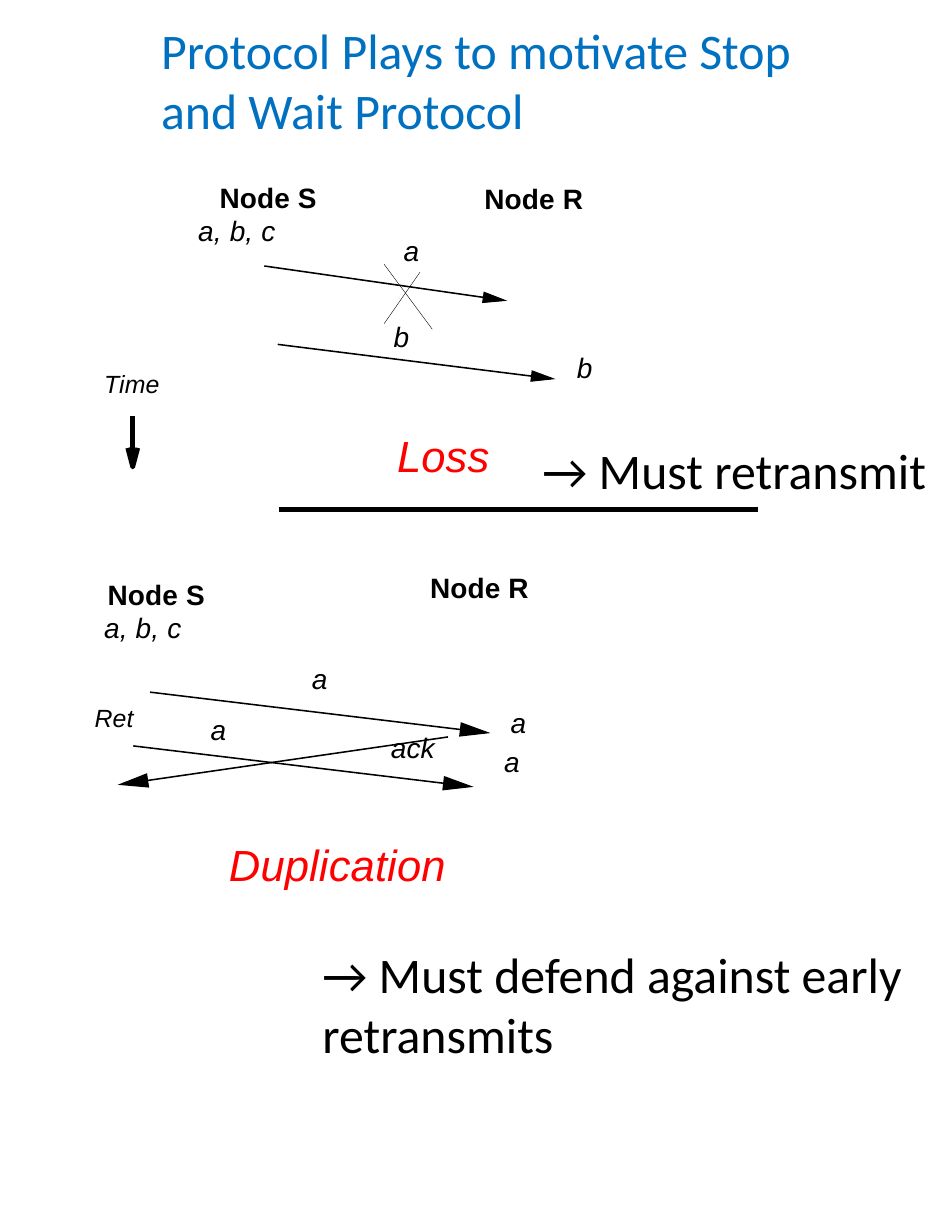
import math

from lxml import etree
from pptx import Presentation, util as u
from pptx.dml.color import RGBColor
from pptx.enum import shapes, text
from pptx.oxml.ns import qn

# Grid of tenths of an inch: 85 columns by 110 rows
COLUMNS, ROWS = 85, 110
CELL = u.Inches(0.1)

BLACK, RED, BLUE = "000000", "FF0000", "0070C0"
LABEL = {"name": "Arial", "size": u.Pt(18), "italic": True}
NODE = {"name": "Arial", "size": u.Pt(18), "bold": True}
SIDE = {**LABEL, "size": u.Pt(16)}
PROBLEM = {**LABEL, "size": u.Pt(28)}
HEADING = {"name": "Calibri", "size": u.Pt(32)}
NO_INSETS = dict.fromkeys(
    ("margin_left", "margin_top", "margin_right", "margin_bottom"), 0)


def cells(*counts):
    return [round(count * CELL) for count in counts]


def colour(hex_string):
    return RGBColor.from_string(hex_string)


def set_all(target, values):
    for name, value in values.items():
        setattr(target, name, value)


def add_text(parent, box, lines, ink=BLACK, frame_format=None, spacing=None):
    """Each line is (wording, font format, left margin, first indent)."""
    shape = parent.shapes.add_textbox(*cells(*box))
    frame = shape.text_frame
    set_all(frame, {"word_wrap": True,
                    "auto_size": text.MSO_AUTO_SIZE.SHAPE_TO_FIT_TEXT,
                    **(frame_format or {})})
    for index, (wording, font_format, margin, indent) in enumerate(lines):
        paragraph = frame.add_paragraph() if index else frame.paragraphs[0]
        if spacing:
            paragraph.line_spacing = spacing
        properties = paragraph._p.get_or_add_pPr()
        for name, length in (("marL", margin), ("indent", indent)):
            properties.set(name, str(cells(length)[0]))
        run = paragraph.add_run()
        run.text = wording
        set_all(run.font, font_format)
        run.font.color.rgb = colour(ink)
        if frame_format:
            run._r.get_or_add_rPr().set("spc", "10")


def add_label(parent, box, wording, font_format=LABEL, ink=BLACK,
              indent=0, spacing=None):
    add_text(parent, box, [(wording, font_format, 0.1, indent)], ink,
             NO_INSETS, spacing)


def add_sender(parent, box, margin, spacing=None):
    lines = [("Node S", NODE, margin, 0), ("a, b, c", LABEL, 0.1, 0)]
    add_text(parent, box, lines, BLACK, NO_INSETS, spacing)


def add_heading(parent, box, wording, ink=BLACK):
    add_text(parent, box, [(wording, HEADING, 0, 0)], ink)


def add_line(parent, ends, width=1):
    connector = parent.shapes.add_connector(
        shapes.MSO_CONNECTOR.STRAIGHT, *cells(*ends))
    connector.line.color.rgb = colour(BLACK)
    connector.line.width = u.Pt(width)
    etree.SubElement(connector._element.spPr, qn("a:effectLst"))


def add_head(parent, ends, length, half, beyond=0, width=None):
    """A solid head, or an open one drawn with a line of the given width."""
    x1, y1, x2, y2 = ends
    reach = math.dist((x1, y1), (x2, y2))
    along_x, along_y = (x2 - x1) / reach, (y2 - y1) / reach

    def point(back, side):
        return tuple(cells(x2 - back * along_x - side * along_y,
                           y2 - back * along_y + side * along_x))

    base = beyond and length - beyond or length
    builder = parent.shapes.build_freeform(*point(base, half))
    builder.add_line_segments([point(-beyond, 0), point(base, -half)],
                              close=width is None)
    head = builder.convert_to_shape()
    head.shadow.inherit = False
    if width is None:
        head.fill.solid()
        head.fill.fore_color.rgb = colour(BLACK)
        head.line.fill.background()
    else:
        head.fill.background()
        head.line.color.rgb = colour(BLACK)
        head.line.width = u.Pt(width)


def add_arrow(parent, ends, scale):
    """Line with a solid head, edged by an open one."""
    add_line(parent, ends)
    add_head(parent, ends, 2.2 * scale, 0.52 * scale, 0.4 * scale)
    add_head(parent, ends, 1.75 * scale, 0.4 * scale, width=1)


def add_loss(slide):
    group = slide.shapes.add_group_shape()
    add_label(group, (43.15, 16.2, 11.7, 3.9), "Node R", NODE)
    # Messages and the passing of time
    for ends in ((23.6, 23.75, 44.9, 26.8), (24.8, 30.75, 49.2, 33.8)):
        add_arrow(group, ends, 1)
    add_label(group, (9.2, 32.9, 6.7, 3.5), "Time", SIDE)
    time_ends = (11.85, 37.1, 11.85, 41.7)
    add_line(group, time_ends, 3)
    add_head(group, time_ends, 1.7, 0.45, width=3)
    # Cross over the lost message
    for ends in ((34.3, 23.6, 38.6, 29.4), (37.5, 24.3, 34.3, 28.9)):
        add_line(group, ends, 0.25)
    for left, top, name in ((35.05, 28.5, "b"), (51.4, 31.3, "b"),
                            (35.95, 20.85, "a")):
        add_label(group, (left, top, 2.2, 3.9), name)
    add_sender(group, (17.6, 16.2, 13.8, 7.3), 2, u.Pt(21.1))
    add_label(group, (35.35, 38.3, 13.8, 4.7), "Loss", PROBLEM, RED)


def add_duplication(slide):
    group = slide.shapes.add_group_shape()
    # Message, acknowledgement, retransmission
    for ends in ((13.4, 61.8, 43.3, 65.4), (40, 65.8, 11, 70),
                 (11.9, 66.6, 41.8, 70.2)):
        add_arrow(group, ends, 1.25)
    add_label(group, (38.3, 50.9, 14.3, 4.5), "Node R", NODE)
    add_sender(group, (9.2, 51.55, 14.5, 8.8), 0.4)
    for left, top in ((27.75, 59.05), (18.7, 63.6)):
        add_label(group, (left, top, 2.6, 4.5), "a")
    add_label(group, (8.35, 62.7, 5.9, 4), "Ret", SIDE)
    add_label(group, (34.8, 65.2, 6.6, 4.5), "ack")
    # Both copies arrive; the narrow box wraps them
    add_label(group, (44.9, 62.5, 3.5, 10.2), "a a", indent=0.6, spacing=1.17)
    add_label(group, (20.35, 74.8, 24, 4.7), "Duplication", PROBLEM, RED)


def main():
    presentation = Presentation()
    presentation.slide_width, presentation.slide_height = cells(COLUMNS, ROWS)
    slide = presentation.slides.add_slide(presentation.slide_layouts[6])

    # The two plays, with a rule between them
    add_loss(slide)
    add_duplication(slide)
    add_line(slide, (24.9, 45.5, 67.7, 45.5), 3)

    # Title and lessons
    add_heading(slide, (13.4, 1.3, 59.9, 11.8),
                "Protocol Plays to motivate Stop and Wait Protocol", BLUE)
    add_heading(slide, (47.45, 38.75, 40.6, 6.4), "→ Must retransmit")
    add_heading(slide, (27.8, 83.8, 55.5, 11.8),
                "→ Must defend against early retransmits")

    presentation.save("out.pptx")


if __name__ == "__main__":
    main()
